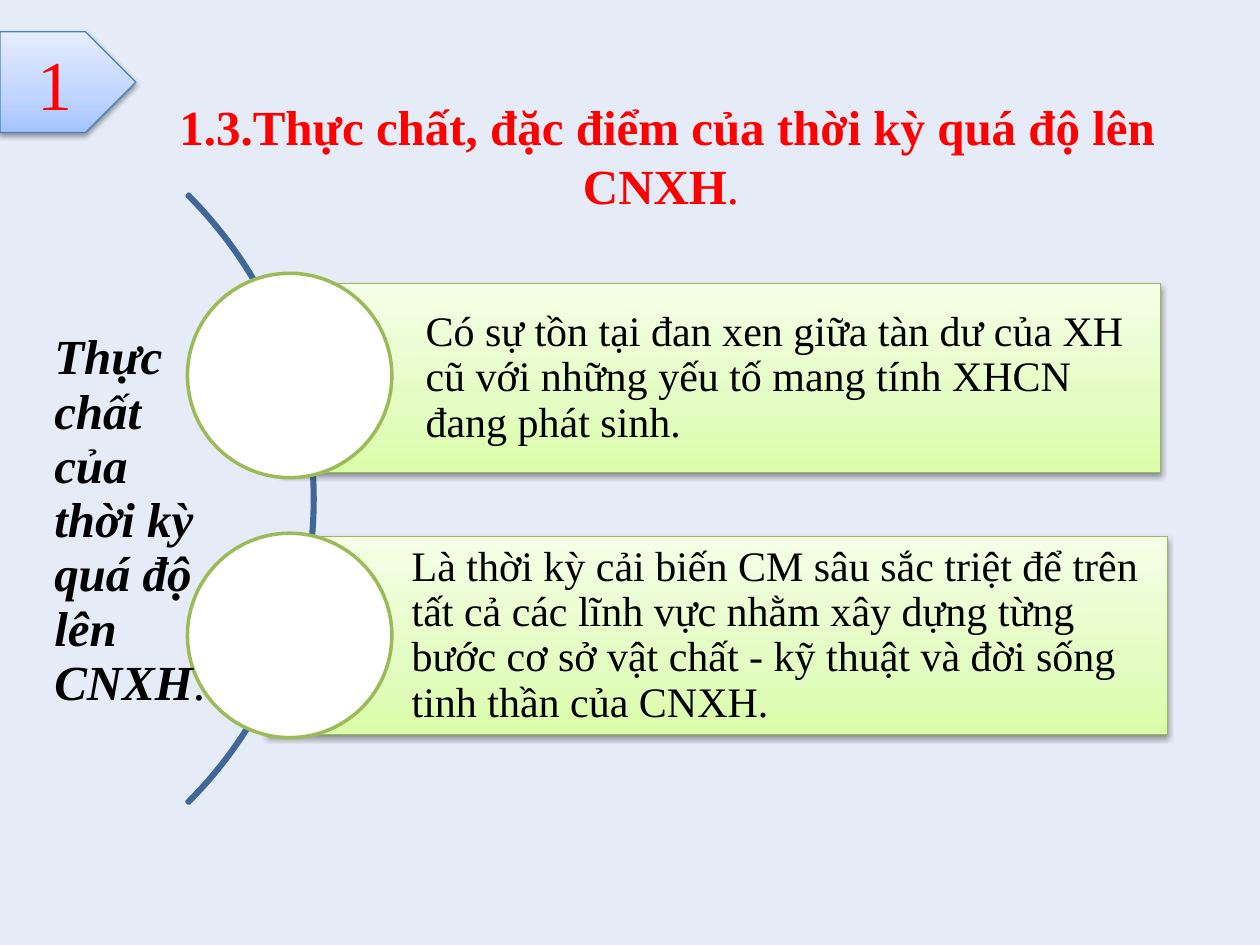
"""Builds the slide on the nature of the transition period to socialism."""
import copy

import pptx
import pptx.dml.color
import pptx.enum.shapes
import pptx.enum.text
import pptx.oxml
import pptx.oxml.ns
import pptx.util
from pptx.util import Cm

RGBColor = pptx.dml.color.RGBColor
MSO_SHAPE = pptx.enum.shapes.MSO_SHAPE
PP_ALIGN = pptx.enum.text.PP_ALIGN
MIDDLE = pptx.enum.text.MSO_ANCHOR.MIDDLE
qn = pptx.oxml.ns.qn

BACKGROUND = RGBColor(0xE5, 0xEB, 0xF7)
RED = RGBColor(0xFF, 0x00, 0x00)
BLACK = RGBColor(0x00, 0x00, 0x00)
WHITE = RGBColor(0xFF, 0xFF, 0xFF)
ARC_BLUE = RGBColor(0x3F, 0x67, 0x97)
BADGE_LINE = RGBColor(0x4B, 0x7E, 0xBC)
BAR_LINE = RGBColor(0x98, 0xB9, 0x55)
CIRCLE_LINE = RGBColor(0x9B, 0xBB, 0x59)
BLUES = [RGBColor(0xA4, 0xC4, 0xFF), RGBColor(0xBF, 0xD4, 0xFF), RGBColor(0xE6, 0xEE, 0xFF)]
GREENS = [RGBColor(0xDA, 0xFD, 0xA7), RGBColor(0xE4, 0xFC, 0xC2), RGBColor(0xF5, 0xFF, 0xE7)]
SHADOW = (
    f'<a:effectLst {pptx.oxml.ns.nsdecls("a")}>'
    '<a:outerShdw blurRad="40000" dist="20000" dir="5400000" rotWithShape="0">'
    '<a:srgbClr val="000000"><a:alpha val="38000"/></a:srgbClr>'
    '</a:outerShdw></a:effectLst>'
)


def add_run(paragraph, text, size, color, bold=False, italic=False):
    run = paragraph.add_run()
    run.text = text
    run.font.name = "Times New Roman"
    run.font.size = pptx.util.Pt(size)
    run.font.color.rgb = color
    run.font.bold = bold
    run.font.italic = italic


def add_outlined(kind, box, line_color, line_width, colors=()):
    shape = slide.shapes.add_shape(kind, *map(Cm, box))
    shape.shadow.inherit = False
    shape.line.color.rgb = line_color
    shape.line.width = pptx.util.Pt(line_width)
    if len(colors) == 1:
        shape.fill.solid()
        shape.fill.fore_color.rgb = colors[0]
    elif colors:
        shape.fill.gradient()
        shape.fill.gradient_angle = 90
        properties = shape._element.spPr
        stops = properties.find(".//" + qn("a:gsLst"))
        stops.append(copy.deepcopy(stops[-1]))
        for stop, position, color in zip(shape.fill.gradient_stops, (0, 0.35, 1), colors):
            stop.position = position
            stop.color.rgb = color
        properties.replace(properties.find(qn("a:effectLst")), pptx.oxml.parse_xml(SHADOW))
    return shape


deck = pptx.Presentation()
deck.slide_width = Cm(25.4)
deck.slide_height = Cm(19.05)
slide = deck.slides.add_slide(deck.slide_layouts[6])
slide.background.fill.solid()
slide.background.fill.fore_color.rgb = BACKGROUND

heading = slide.shapes.add_textbox(Cm(2.97), Cm(1.83), Cm(20.96), Cm(2.64)).text_frame
heading.word_wrap = True
heading.paragraphs[0].alignment = PP_ALIGN.CENTER
add_run(heading.paragraphs[0], "1.3.Thực chất, đặc điểm của thời kỳ quá độ lên CNXH", 28, RED, bold=True)
add_run(heading.paragraphs[0], ". ", 28, RED)

badge = add_outlined(MSO_SHAPE.PENTAGON, (0, 0.64, 2.74, 2.03), BADGE_LINE, 0.75, BLUES).text_frame
badge.vertical_anchor = MIDDLE
badge.paragraphs[0].alignment = PP_ALIGN.CENTER
add_run(badge.paragraphs[0], "1", 40, RED)

arc = add_outlined(MSO_SHAPE.BLOCK_ARC, (-11.02, 1.37, 17.37, 17.37), ARC_BLUE, 2)
arc.fill.background()
for index, value in enumerate((189, 27, 0.003)):
    arc.adjustments[index] = value

points = [
    ("Có sự tồn tại đan xen giữa tàn dư của XH cũ với những yếu tố mang tính XHCN đang phát sinh.",
     (5.66, 5.72, 17.73, 3.81), (3.78, 5.51, 4.12, 4.12)),
    ("Là thời kỳ cải biến CM sâu sắc triệt để trên tất cả các lĩnh vực nhằm xây dựng từng bước "
     "cơ sở vật chất - kỹ thuật và đời sống tinh thần của CNXH.",
     (5.38, 10.82, 18.16, 3.99), (3.78, 10.75, 4.12, 4.12)),
]
for statement, bar_box, circle_box in points:
    bar = add_outlined(MSO_SHAPE.RECTANGLE, bar_box, BAR_LINE, 0.75, GREENS).text_frame
    bar.word_wrap = True
    bar.vertical_anchor = MIDDLE
    bar.margin_left = Cm(2.92)
    bar.margin_right = bar.margin_top = bar.margin_bottom = Cm(0.18)
    bar.paragraphs[0].alignment = PP_ALIGN.LEFT
    bar.paragraphs[0].line_spacing = 0.9
    add_run(bar.paragraphs[0], statement, 24, BLACK)
    add_outlined(MSO_SHAPE.OVAL, circle_box, CIRCLE_LINE, 2, [WHITE])

topic_table = slide.shapes.add_table(1, 1, Cm(0.84), Cm(6.55), Cm(3.81), Cm(13.18)).table
topic_table.first_row = False
topic_table.horz_banding = False
topic = topic_table.cell(0, 0)
cell_properties = topic._tc.get_or_add_tcPr()
for side in ("a:lnL", "a:lnR", "a:lnT", "a:lnB"):
    border = pptx.oxml.xmlchemy.OxmlElement(side)
    border.append(pptx.oxml.xmlchemy.OxmlElement("a:noFill"))
    cell_properties.append(border)
topic.fill.background()
topic_text = topic.text_frame.paragraphs[0]
add_run(topic_text, "Thực chất của thời kỳ quá độ lên CNXH", 28, BLACK, bold=True, italic=True)
add_run(topic_text, ".", 28, BLACK)

deck.save("out.pptx")
